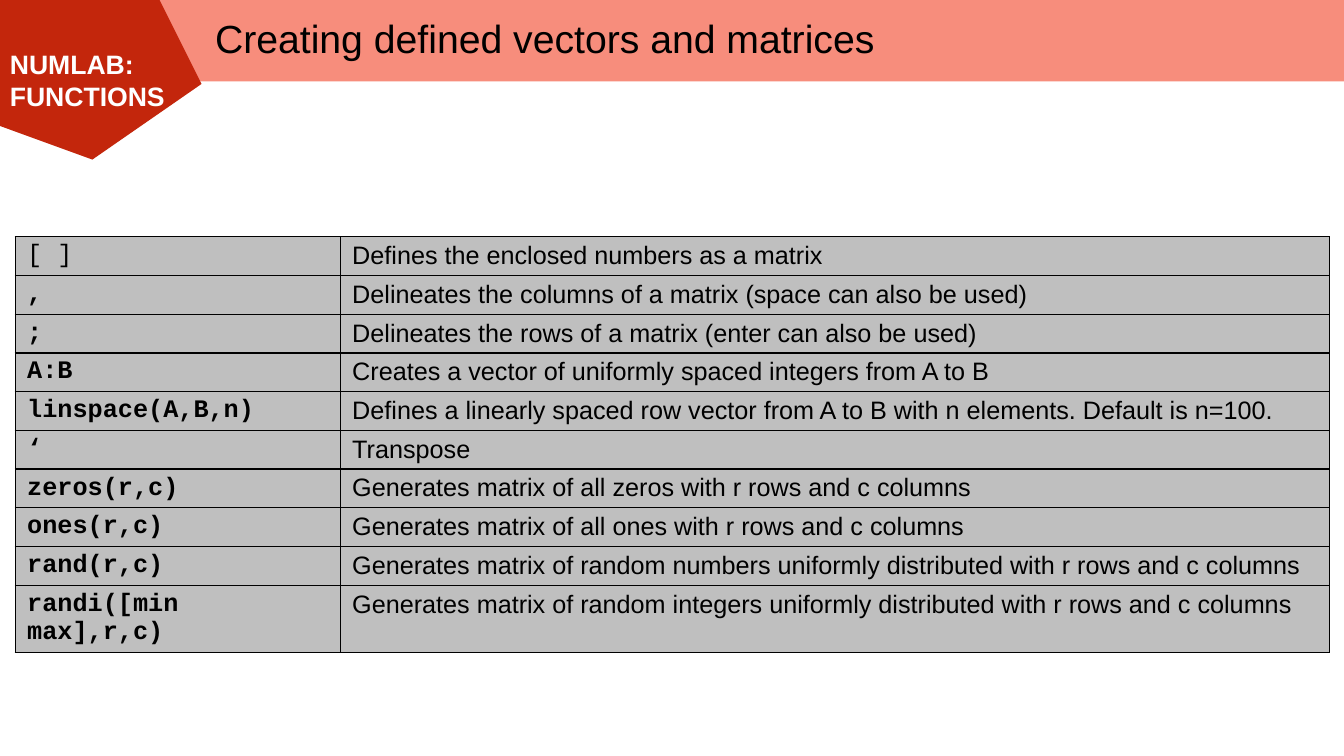
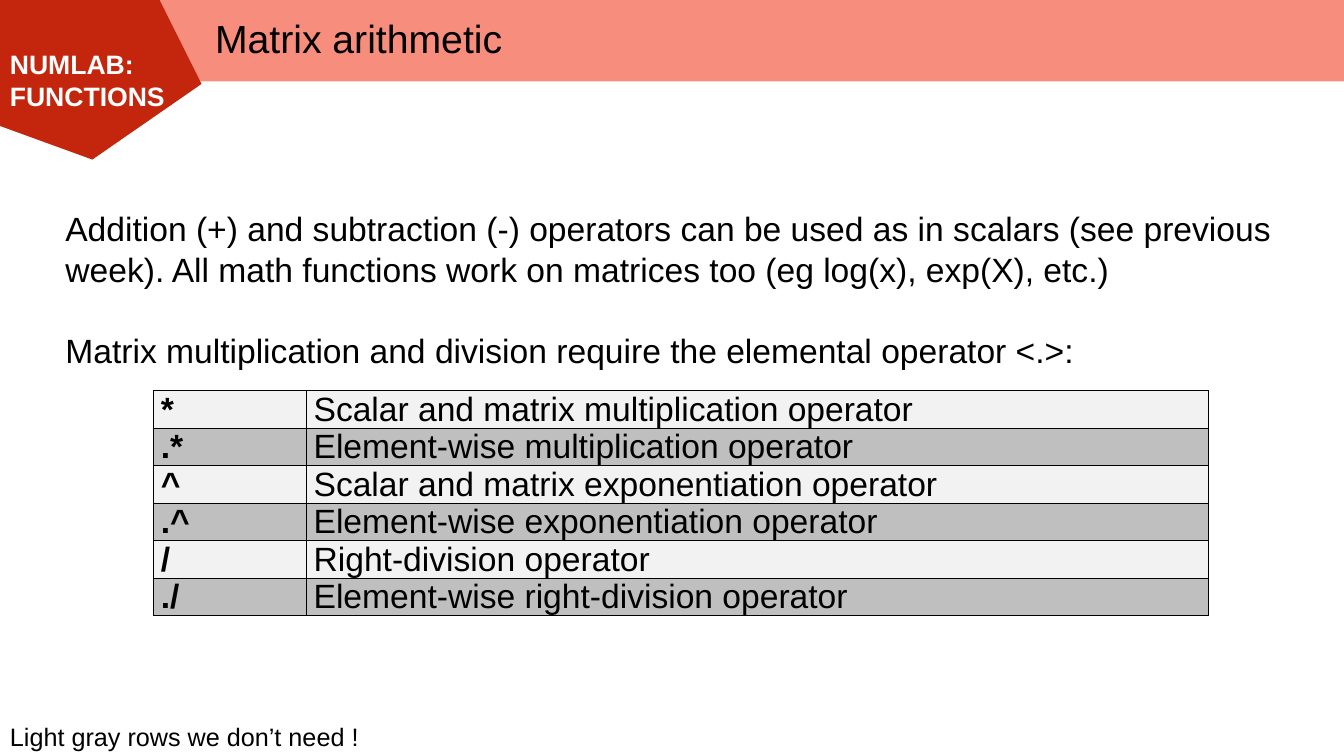
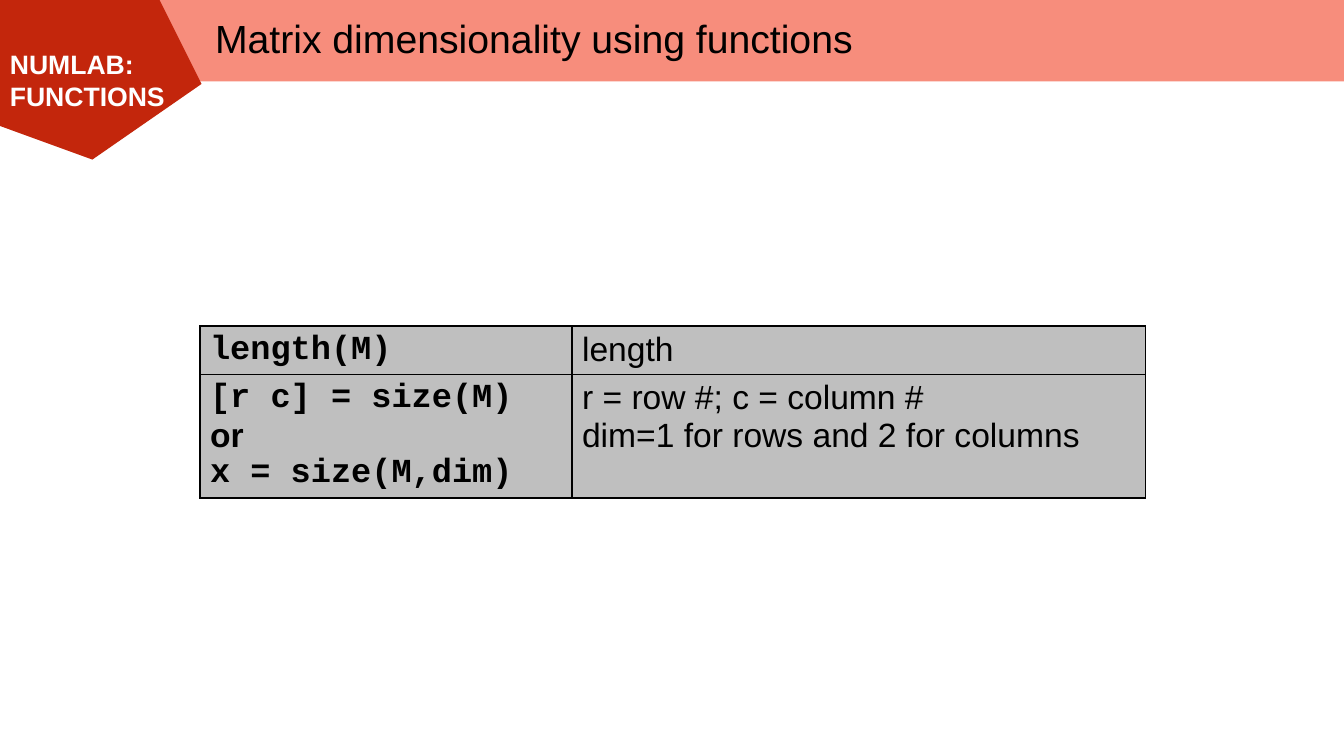
from lxml.etree import SubElement
from pptx import Presentation
from pptx.dml.color import RGBColor
from pptx.enum.shapes import MSO_SHAPE
from pptx.enum.text import MSO_ANCHOR, PP_ALIGN
from pptx.oxml.ns import qn
from pptx.util import Inches, Pt

BLACK = RGBColor(0x00, 0x00, 0x00)
WHITE = RGBColor(0xFF, 0xFF, 0xFF)
SALMON = RGBColor(0xF7, 0x8D, 0x7C)
RED = RGBColor(0xC3, 0x26, 0x0C)
GRAY = RGBColor(0xBF, 0xBF, 0xBF)
LIGHT_GRAY = RGBColor(0xF2, 0xF2, 0xF2)
SANS, MONO = "Arial", "Courier New"

# The slide is a grid of 160 columns by 90 rows.
U = Inches(1) // 12
W, H = 160 * U, 90 * U


def format_text(p, size, color=BLACK, font=SANS, bold=False):
    for r in p.runs:
        r.font.size = Pt(size)
        r.font.name = font
        r.font.bold = bold
        r.font.color.rgb = color


def add_grid(s, left, top, widths, row_height, rows, size, margins, code_font, fills):
    """Add a bordered table of (code, meaning) rows; fills repeat down the rows."""
    frame = s.shapes.add_table(len(rows), 2, int(left * U), int(top * U),
                               int(sum(widths) * U), int(row_height * len(rows) * U))
    table = frame.table
    table.first_row = table.horz_banding = False
    for column, width in zip(table.columns, widths):
        column.width = int(width * U)
    for i, texts in enumerate(rows):
        table.rows[i].height = int(row_height * U)
        for j, text in enumerate(texts):
            cell = table.cell(i, j)
            cell.text = text
            cell.margin_left = cell.margin_right = Inches(margins[0])
            cell.margin_top = cell.margin_bottom = Inches(margins[1])
            for p in cell.text_frame.paragraphs:
                is_code = j == 0 and p.text != "or"
                format_text(p, size, font=code_font if is_code else SANS,
                            bold=j == 0 and p.text != "[ ]")
            tcPr = cell._tc.get_or_add_tcPr()
            for side in ("a:lnL", "a:lnR", "a:lnT", "a:lnB"):
                ln = SubElement(tcPr, qn(side), w=str(Pt(1)))
                SubElement(SubElement(ln, qn("a:solidFill")), qn("a:srgbClr"), val=str(BLACK))
            cell.fill.solid()
            cell.fill.fore_color.rgb = fills[i % len(fills)]


prs = Presentation()
prs.slide_width, prs.slide_height = W, H
layout = prs.slide_layouts[5]

# Slides with their titles
slides = []
for title in ("Creating defined vectors and matrices", "Matrix arithmetic",
              "Matrix dimensionality using functions"):
    s = prs.slides.add_slide(layout)
    sp = s.shapes.title
    sp.left, sp.top, sp.width, sp.height = (int(n * U) for n in (24.4, 1.1, 135.6, 7.4))
    tf = sp.text_frame
    tf.text = title
    tf.vertical_anchor = MSO_ANCHOR.MIDDLE
    p = tf.paragraphs[0]
    p.alignment = PP_ALIGN.LEFT
    p.line_spacing = 0.9
    format_text(p, 28)
    slides.append(s)
vectors, arithmetic, dimensions = slides

# Band and badge, drawn once and moved to the shared layout
band = vectors.shapes.add_shape(MSO_SHAPE.RECTANGLE, 11 * U, 0, W - 11 * U, int(9.7 * U))
outline = vectors.shapes.build_freeform(18.84, 0, scale=U)
outline.add_line_segments([(0, 0), (0, 15.36), (10.92, 19.08), (24.48, 9.72)], close=True)
badge = outline.convert_to_shape()
for z, (sp, color) in enumerate(((band, SALMON), (badge, RED))):
    sp.shadow.inherit = False
    sp.fill.solid()
    sp.fill.fore_color.rgb = color
    sp.line.fill.background()
    layout.shapes.element.insert(2 + z, sp.element)
tf = badge.text_frame
tf.text = "NUMLAB: FUNCTIONS"
tf.word_wrap = True
tf.vertical_anchor = MSO_ANCHOR.MIDDLE
tf.paragraphs[0].alignment = PP_ALIGN.LEFT
format_text(tf.paragraphs[0], 19, WHITE, bold=True)

# Slide 1: vectors and matrices
add_grid(vectors, 1.8, 28.2, (38.7, 117.8), 4.6, [
    ("[ ]", "Defines the enclosed numbers as a matrix"),
    (",", "Delineates the columns of a matrix (space can also be used)"),
    (";", "Delineates the rows of a matrix (enter can also be used)"),
    ("A:B", "Creates a vector of uniformly spaced integers from A to B"),
    ("linspace(A,B,n)", "Defines a linearly spaced row vector from A to B with n elements. "
                        "Default is n=100."),
    ("‘", "Transpose"),
    ("zeros(r,c)", "Generates matrix of all zeros with r rows and c columns"),
    ("ones(r,c)", "Generates matrix of all ones with r rows and c columns"),
    ("rand(r,c)", "Generates matrix of random numbers uniformly distributed "
                  "with r rows and c columns"),
    ("randi([min max],r,c)", "Generates matrix of random integers uniformly distributed "
                             "with r rows and c columns"),
], 18, (0.12, 0.05), MONO, [GRAY])

# Slide 2: arithmetic
add_grid(arithmetic, 18.3, 46.5, (18.2, 107.4), 4.4, [
    ("*", "Scalar and matrix multiplication operator"),
    (".*", "Element-wise multiplication operator"),
    ("^", "Scalar and matrix exponentiation operator"),
    (".^", "Element-wise exponentiation operator"),
    ("/", "Right-division operator"),
    ("./", "Element-wise right-division operator"),
], 24, (0.07, 0), SANS, [LIGHT_GRAY, GRAY])

intro = ("Addition (+) and subtraction (-) operators can be used as in scalars (see previous "
         "week). All math functions work on matrices too (eg log(x), exp(X), etc.)\n"
         "Matrix multiplication and division require the elemental operator <.>:")
note = "Light gray rows we don’t need !"
for text, size, wrap, box in ((intro, 24, True, (6.6, 24.2, 151.3, 20.6)),
                              (note, 18, False, (0, 85.3, 44.3, 4.8))):
    tf = arithmetic.shapes.add_textbox(*(int(n * U) for n in box)).text_frame
    tf.text = text
    tf.word_wrap = wrap
    for i, p in enumerate(tf.paragraphs):
        p.space_before = Pt(29 if i else 0)
        format_text(p, size)

# Slide 3: dimensions
add_grid(dimensions, 23.8, 38.8, (44.3, 68.3), 5.7, [
    ("length(M)", "length"),
    ("[r c] = size(M)\nor\nx = size(M,dim)",
     "r = row #; c = column #\ndim=1 for rows and 2 for columns"),
], 24, (0.1, 0.05), MONO, [GRAY])

prs.save("out.pptx")
